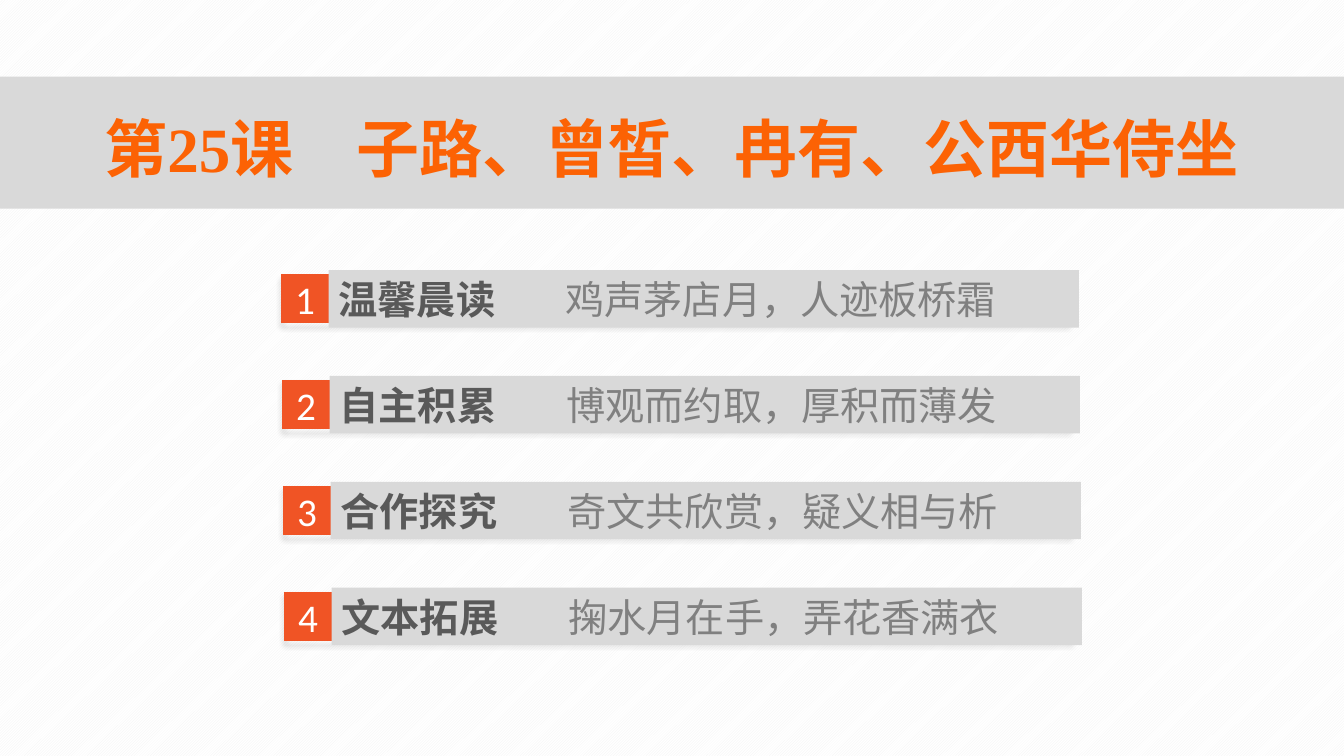
from lxml import etree
from pptx import Presentation
from pptx.dml.color import RGBColor
from pptx.enum.dml import MSO_PATTERN
from pptx.enum.shapes import MSO_SHAPE
from pptx.enum.text import MSO_ANCHOR, PP_ALIGN
from pptx.oxml.ns import qn
from pptx.util import Inches, Pt

RECT = MSO_SHAPE.RECTANGLE
MIDDLE = MSO_ANCHOR.MIDDLE
CENTER, LEFT = PP_ALIGN.CENTER, PP_ALIGN.LEFT
HATCH = MSO_PATTERN.LIGHT_UPWARD_DIAGONAL

WHITE = RGBColor(0xFF, 0xFF, 0xFF)
PALE = RGBColor(0xF2, 0xF2, 0xF2)
BAND = RGBColor(0xD9, 0xD9, 0xD9)
ORANGE = RGBColor(0xF0, 0x54, 0x25)
TITLE_ORANGE = RGBColor(0xFC, 0x62, 0x04)
DARK = RGBColor(0x59, 0x59, 0x59)
GREY = RGBColor(0x80, 0x80, 0x80)

CJK = "Noto Sans CJK SC"
TITLE_FONT = dict(name="Times New Roman", size=Pt(45), bold=True)
NUMBER_FONT = dict(name="Calibri", size=Pt(28), bold=False)
HEADING_FONT = dict(name=CJK, size=Pt(28), bold=True)
VERSE_FONT = dict(name=CJK, size=Pt(28), bold=False)

WIDTH, HEIGHT = 13.33, 7.5
ROW_LEFT, ROW_TOP = 2.79, 2.73
ROW_SHIFT, ROW_PITCH = 0.01, 1.05
ROW_WIDTH, ROW_HEIGHT = 7.79, 0.47
BAR_WIDTH, BAR_HEIGHT = 7.44, 0.57
VERSE_TAB = 2.25

LESSON = "第25课\u3000子路、曾皙、冉有、公西华侍坐".replace("\u3000", "　")
SECTIONS = [
    ("温馨晨读", "鸡声茅店月，人迹板桥霜"),
    ("自主积累", "博观而约取，厚积而薄发"),
    ("合作探究", "奇文共欣赏，疑义相与析"),
    ("文本拓展", "掬水月在手，弄花香满衣"),
]


def add_rect(shapes, left, top, width, height, fill=None, line=None):
    sp = shapes.add_shape(RECT, *map(Inches, (left, top, width, height)))
    sp.shadow.inherit = False
    if fill is None:
        sp.fill.background()
    else:
        sp.fill.solid()
        sp.fill.fore_color.rgb = fill
    if line is None:
        sp.line.fill.background()
    else:
        sp.line.color.rgb = line
        sp.line.width = Pt(1)
    return sp


def add_drop_shadow(sp):
    effects = sp._element.spPr.find(qn("a:effectLst"))
    shadow = etree.SubElement(effects, qn("a:outerShdw"), blurRad=str(Pt(4)),
                              dist=str(Pt(3)), dir="5400000", rotWithShape="0")
    color = etree.SubElement(shadow, qn("a:srgbClr"), val="000000")
    etree.SubElement(color, qn("a:alpha"), val="40000")


def set_frame(sp, align, side=0.0):
    """Centre the text vertically and return its first paragraph."""
    tf = sp.text_frame
    tf.word_wrap = True
    tf.vertical_anchor = MIDDLE
    tf.margin_top = tf.margin_bottom = 0
    tf.margin_left = tf.margin_right = Inches(side)
    p = tf.paragraphs[0]
    p.alignment = align
    return p


def add_run(p, text, font, color):
    r = p.add_run()
    r.text = text
    for name, value in font.items():
        setattr(r.font, name, value)
    r.font.color.rgb = color
    etree.SubElement(r._r.get_or_add_rPr(), qn("a:ea"), typeface=CJK)


def add_title(slide, top, height):
    add_rect(slide.shapes, 0, top, WIDTH, height, BAND)
    box = slide.shapes.add_textbox(Inches(0.41), Inches(top + 0.29),
                                   Inches(12.5), Inches(0.82))
    add_run(set_frame(box, CENTER, 0.1), LESSON, TITLE_FONT, TITLE_ORANGE)


def add_section(slide, left, top, number, heading, verse):
    shapes = slide.shapes.add_group_shape().shapes
    frame = add_rect(shapes, left, top, ROW_WIDTH, ROW_HEIGHT, line=ORANGE)
    add_drop_shadow(frame)

    badge = add_rect(shapes, left, top, ROW_HEIGHT, ROW_HEIGHT, ORANGE, ORANGE)
    add_run(set_frame(badge, CENTER), str(number), NUMBER_FONT, WHITE)

    bar = add_rect(shapes, left + ROW_HEIGHT, top - 0.05,
                   BAR_WIDTH, BAR_HEIGHT, BAND)
    p = set_frame(bar, LEFT, 0.1)
    tabs = etree.SubElement(p._p.get_or_add_pPr(), qn("a:tabLst"))
    etree.SubElement(tabs, qn("a:tab"), pos=str(Inches(VERSE_TAB)), algn="l")
    add_run(p, heading + "\t", HEADING_FONT, DARK)
    add_run(p, verse, VERSE_FONT, GREY)


def main():
    prs = Presentation()
    prs.slide_width, prs.slide_height = Inches(WIDTH), Inches(HEIGHT)
    slide = prs.slides.add_slide(prs.slide_layouts[6])
    fill = slide.background.fill
    fill.patterned()
    fill.pattern = HATCH
    fill.fore_color.rgb = PALE
    fill.back_color.rgb = WHITE

    add_title(slide, 0.76, 1.31)
    for i, (heading, verse) in enumerate(SECTIONS):
        add_section(slide, ROW_LEFT + i * ROW_SHIFT, ROW_TOP + i * ROW_PITCH,
                    i + 1, heading, verse)
    prs.save("out.pptx")


if __name__ == "__main__":
    main()
